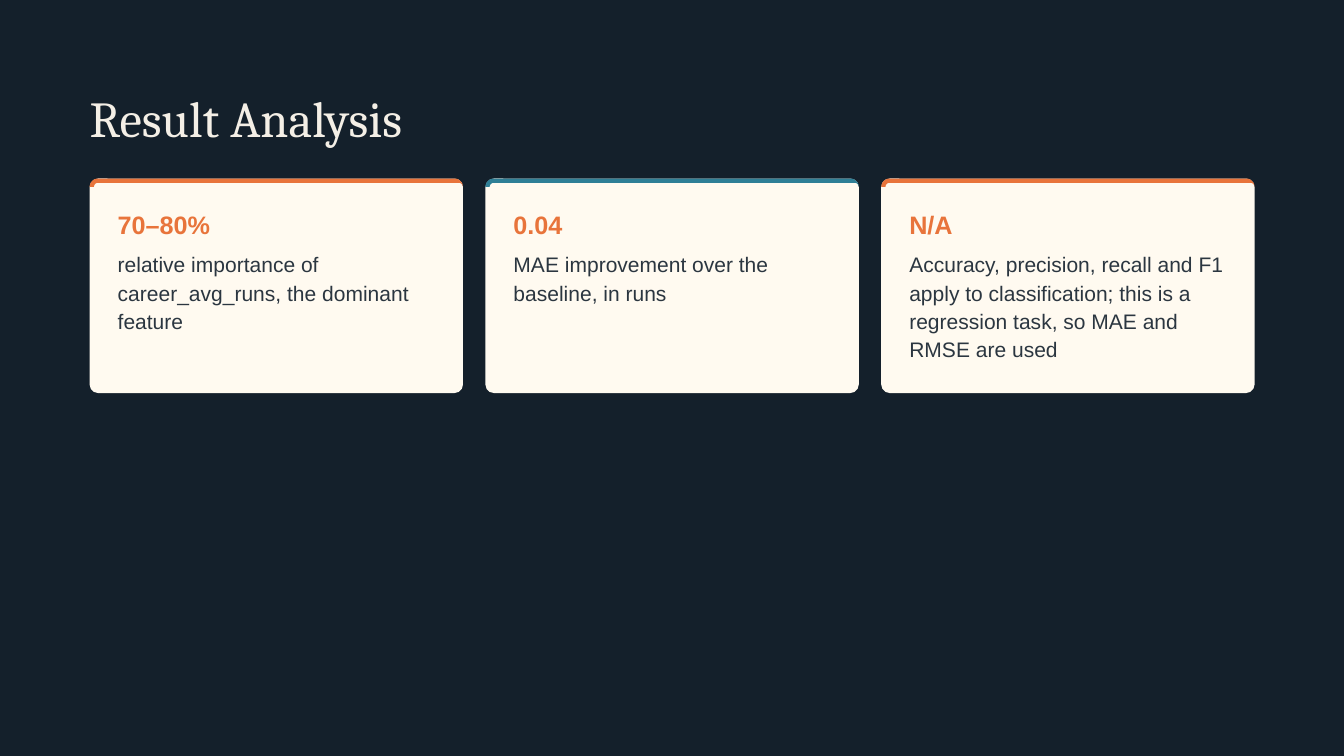
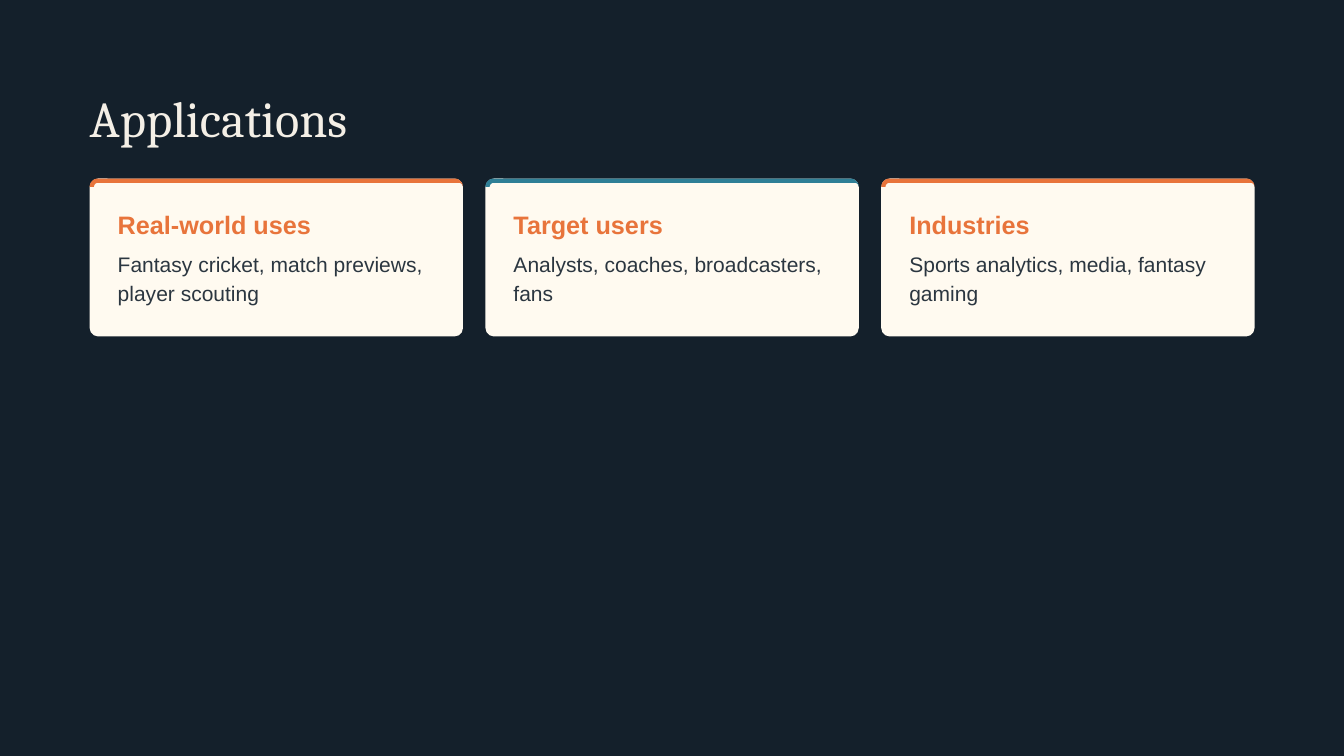
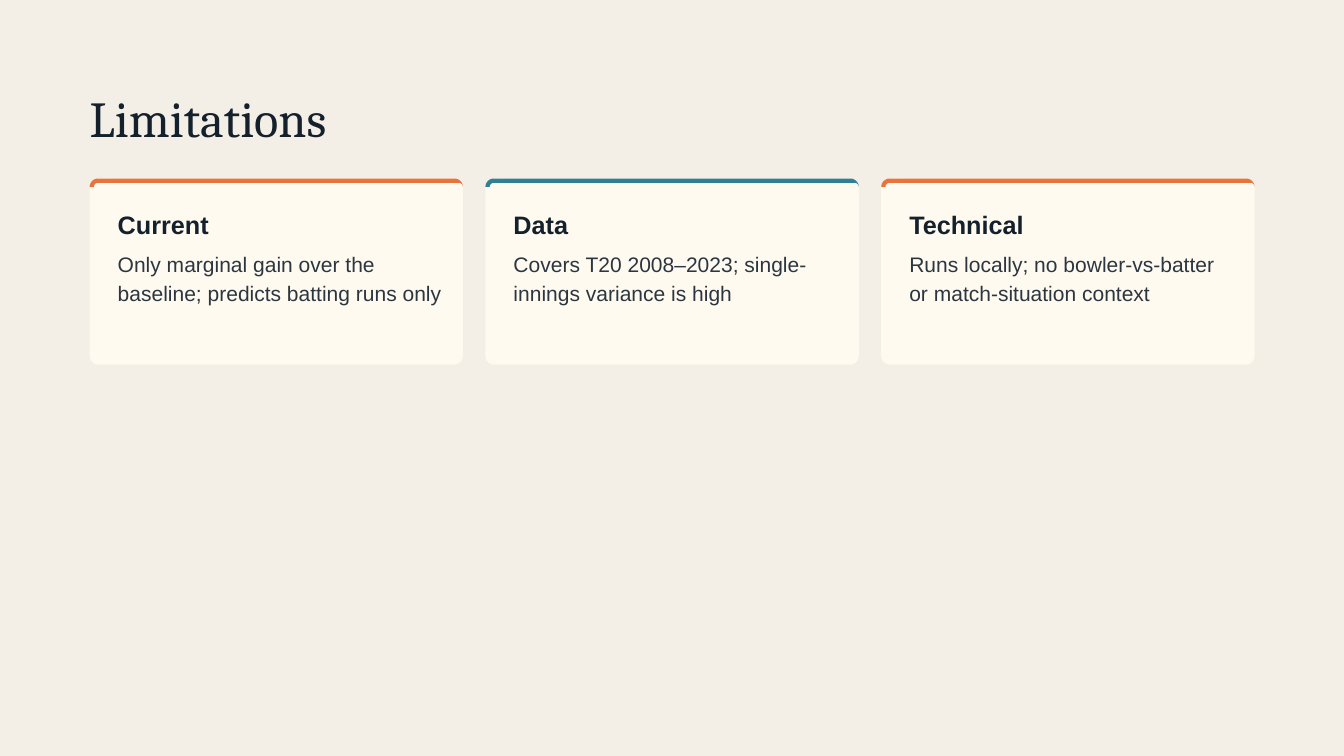
from math import cos, pi, sin

from pptx import Presentation
from pptx.dml.color import RGBColor
from pptx.enum.shapes import MSO_SHAPE
from pptx.enum.text import MSO_ANCHOR, MSO_AUTO_SIZE, PP_ALIGN
from pptx.util import Cm, Pt

ROUNDED = MSO_SHAPE.ROUNDED_RECTANGLE
TOP = MSO_ANCHOR.TOP
GROW = MSO_AUTO_SIZE.SHAPE_TO_FIT_TEXT
LEFT = PP_ALIGN.LEFT
TITLE_ONLY = 5

COLORS = {
    "navy": "14202B",
    "sand": "F4EFE6",
    "card": "FFFAF0",
    "orange": "E8743B",
    "teal": "2F7F96",
    "body": "2B3640",
}
TITLE_FONT, TEXT_FONT = "Cambria", "Arial"

MARGIN, CARD_TOP = 3.39, 6.75
CARD_W, CARD_PITCH = 14.11, 14.96
RADIUS, BAND = 0.32, 0.16
PAD, HEADING_DY, BODY_DY = 1.06, 1.15, 2.65
TEXT_W, LINE_H = 12.34, 1.07
ACCENTS = ("orange", "teal", "orange")

SLIDES = [
    ("Result Analysis", "navy", "sand", "orange", [
        ("70–80%", "relative importance of career_avg_runs, the dominant feature", 3),
        ("0.04", "MAE improvement over the baseline, in runs", 2),
        ("N/A", "Accuracy, precision, recall and F1 apply to classification; "
                "this is a regression task, so MAE and RMSE are used", 4),
    ]),
    ("Applications", "navy", "sand", "orange", [
        ("Real-world uses", "Fantasy cricket, match previews, player scouting", 2),
        ("Target users", "Analysts, coaches, broadcasters, fans", 2),
        ("Industries", "Sports analytics, media, fantasy gaming", 2),
    ]),
    ("Limitations", "sand", "navy", "navy", [
        ("Current", "Only marginal gain over the baseline; predicts batting runs only", 3),
        ("Data", "Covers T20 2008–2023; single-innings variance is high", 2),
        ("Technical", "Runs locally; no bowler-vs-batter or match-situation context", 2),
    ]),
]


def rgb(name):
    return RGBColor.from_string(COLORS[name])


def paint(sp, color):
    sp.shadow.inherit = False
    sp.fill.solid()
    sp.fill.fore_color.rgb = rgb(color)
    sp.line.fill.background()


def write(sp, text, font, size, color, spacing, bold=False):
    tf = sp.text_frame
    tf.margin_left = tf.margin_right = tf.margin_top = tf.margin_bottom = 0
    tf.word_wrap = True
    tf.auto_size = GROW
    tf.vertical_anchor = TOP
    p = tf.paragraphs[0]
    p.alignment = LEFT
    p.line_spacing = Pt(spacing)
    r = p.add_run()
    r.text = text
    r.font.name = font
    r.font.size = Pt(size)
    r.font.bold = bold
    r.font.color.rgb = rgb(color)


def add_title(s, text, color):
    sp = s.shapes.title
    sp.left, sp.top, sp.width, sp.height = Cm(MARGIN), Cm(3.5), Cm(45.34), Cm(2.08)
    write(sp, text, TITLE_FONT, 54, color, 59.4)


def add_text(s, x, y, h, *style, **options):
    sp = s.shapes.add_textbox(Cm(x), Cm(y), Cm(TEXT_W), Cm(h))
    write(sp, *style, **options)


def arc(cx, cy, radius, start, end, steps=12):
    angles = [start + (end - start) * i / steps for i in range(steps + 1)]
    return [(cx + radius * cos(a), cy - radius * sin(a)) for a in angles]


def add_band(s, x, y, w, color):
    base, right = y + RADIUS, x + w
    inner = RADIUS - BAND
    outline = (arc(x + RADIUS, base, RADIUS, pi, pi / 2)
               + arc(right - RADIUS, base, RADIUS, pi / 2, 0)
               + arc(right - inner, base, inner, 0, pi / 2)
               + arc(x + RADIUS, base, inner, pi / 2, pi))
    points = [(Cm(px), Cm(py)) for px, py in outline]
    builder = s.shapes.build_freeform(*points[0])
    builder.add_line_segments(points[1:])
    paint(builder.convert_to_shape(), color)


def add_card(s, x, y, w, h, accent, heading, heading_color, body, lines):
    sp = s.shapes.add_shape(ROUNDED, Cm(x), Cm(y), Cm(w), Cm(h))
    sp.adjustments[0] = RADIUS / min(w, h)
    paint(sp, "card")
    add_band(s, x, y, w, accent)
    add_text(s, x + PAD, y + HEADING_DY, 1.3,
             heading, TEXT_FONT, 27, heading_color, 32.4, bold=True)
    add_text(s, x + PAD, y + BODY_DY, 0.25 + LINE_H * lines,
             body, TEXT_FONT, 22.5, "body", 30.4)


def add_card_slide(prs, title, background, title_color, heading_color, cards):
    s = prs.slides.add_slide(prs.slide_layouts[TITLE_ONLY])
    s.background.fill.solid()
    s.background.fill.fore_color.rgb = rgb(background)
    add_title(s, title, title_color)
    card_h = 3.83 + LINE_H * max(lines for _, _, lines in cards)
    for i, (accent, (heading, body, lines)) in enumerate(zip(ACCENTS, cards)):
        add_card(s, MARGIN + i * CARD_PITCH, CARD_TOP, CARD_W, card_h,
                 accent, heading, heading_color, body, lines)


def main():
    prs = Presentation()
    prs.slide_width, prs.slide_height = Cm(50.8), Cm(28.58)
    for content in SLIDES:
        add_card_slide(prs, *content)
    prs.save("out.pptx")


if __name__ == "__main__":
    main()
